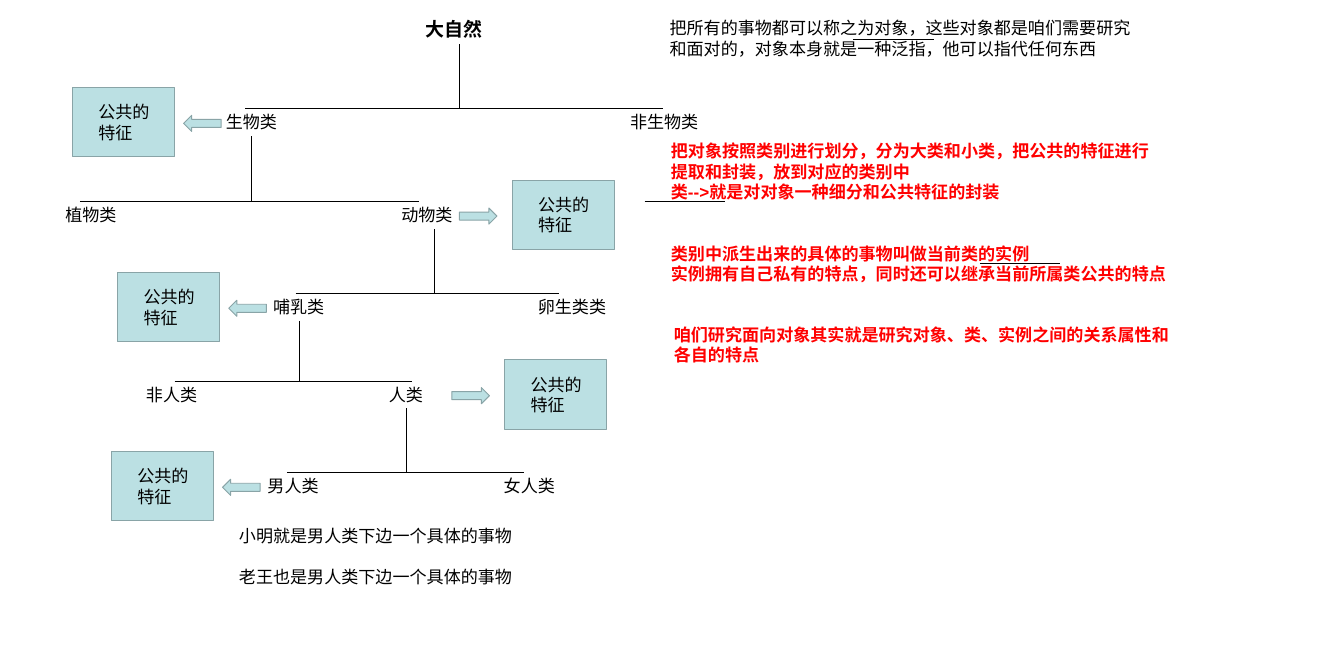
from lxml import etree
from pptx import Presentation
from pptx import util as u
from pptx.dml.color import RGBColor
from pptx.enum import shapes, text
from pptx.oxml.ns import qn

COLORS = {"ink": "000000", "red": "FF0000", "fill": "BBE0E3", "edge": "89A4A7"}
FONT = "Arial"

# Content, lengths in cm
TITLE = ("大自然", 15.57, 0.53, 3.2, 1.12)
FEATURE = "公共的\n特征"

# One branch per level: parent, stem shift from its centre, bar height,
# bar ends, child labels with their left edges, feature box left, arrow direction
BRANCHES = [
    ("大自然", -0.08, 4.04, (9.12, 24.66), (("生物类", 8.15), ("非生物类", 23.19)), 2.69, "left"),
    ("生物类", 0, 7.49, (2.97, 15.57), (("植物类", 2.18), ("动物类", 14.68)), 19.05, "right"),
    ("动物类", 0.25, 10.92, (11.0, 20.8), (("哺乳类", 9.91), ("卵生类类", 19.76)), 4.37, "left"),
    ("哺乳类", 0, 14.17, (6.5, 15.32), (("非人类", 5.18), ("人类", 14.22)), 18.77, "right"),
    ("人类", 0, 17.58, (10.67, 19.48), (("男人类", 9.7), ("女人类", 18.49)), 4.14, "left"),
]

# Text, left, top, width, height, colour, bold, space between paragraphs in pt
NOTES = [
    ("小明就是男人类下边一个具体的事物\n老王也是男人类下边一个具体的事物",
     8.64, 19.41, 12.27, 2.54, "ink", False, 21.6),
    ("把所有的事物都可以称之为对象，这些对象都是咱们需要研究\n"
     "和面对的，对象本身就是一种泛指，他可以指代任何东西",
     24.66, 0.53, 17.65, 1.78, "ink", False, 0),
    ("把对象按照类别进行划分，分为大类和小类，把公共的特征进行\n"
     "提取和封装，放到对应的类别中\n"
     "类-->就是对对象一种细分和公共特征的封装",
     24.71, 5.11, 18.29, 2.54, "red", True, 0),
    ("类别中派生出来的具体的事物叫做当前类的实例\n"
     "实例拥有自己私有的特点，同时还可以继承当前所属类公共的特点",
     24.71, 8.92, 18.92, 1.78, "red", True, 0),
    ("咱们研究面向对象其实就是研究对象、类、实例之间的关系属性和\n各自的特点",
     24.82, 11.94, 18.92, 1.78, "red", True, 0),
]
RULES = [(31.75, 1.45), (23.98, 7.49), (36.45, 9.8)]

STEM, RULE, LABEL_HEIGHT = 2.4, 3.0, 1.02
BOX_WIDTH, BOX_HEIGHT, BOX_RISE, BOX_INDENT = 3.81, 2.59, 0.79, 0.97
ARROW_WIDTH, ARROW_HEIGHT, ARROW_DROP = 1.4, 0.6, 0.25
ARROWS = {
    "left": (shapes.MSO_SHAPE.LEFT_ARROW, 4.14),
    "right": (shapes.MSO_SHAPE.RIGHT_ARROW, -1.96),
}


def color(name):
    return RGBColor.from_string(COLORS[name])


def write(box, words, size=18, ink="ink", bold=False, gap=0):
    frame = box.text_frame
    frame.text = words
    for index, para in enumerate(frame.paragraphs):
        para.alignment = text.PP_ALIGN.LEFT
        para.space_before = u.Pt(gap if index else 0)
        for span in para.runs:
            span.font.name, span.font.size = FONT, u.Pt(size)
            span.font.bold, span.font.color.rgb = bold, color(ink)
    return frame


def add_text(words, left, top, width, height, **style):
    box = page.shapes.add_textbox(u.Cm(left), u.Cm(top), u.Cm(width), u.Cm(height))
    frame = write(box, words, **style)
    frame.word_wrap = False
    frame.auto_size = text.MSO_AUTO_SIZE.SHAPE_TO_FIT_TEXT
    return box


def add_line(x1, y1, x2, y2):
    line = page.shapes.add_connector(
        shapes.MSO_CONNECTOR.STRAIGHT, u.Cm(x1), u.Cm(y1), u.Cm(x2), u.Cm(y2))
    line.line.color.rgb, line.line.width = color("ink"), u.Pt(0.5)
    etree.SubElement(line._element.spPr, qn("a:effectLst"))
    return line


def add_filled(kind, left, top, width, height):
    shape = page.shapes.add_shape(kind, u.Cm(left), u.Cm(top), u.Cm(width), u.Cm(height))
    shape.shadow.inherit = False
    shape.fill.solid()
    shape.fill.fore_color.rgb = color("fill")
    shape.line.color.rgb, shape.line.width = color("edge"), u.Pt(1)
    return shape


deck = Presentation()
deck.slide_width, deck.slide_height = u.Cm(50), u.Cm(25)
page = deck.slides.add_slide(deck.slide_layouts[5])

# Title, the root of the tree
words, left, top, width, height = TITLE
title = page.shapes.title
title.left, title.top, title.width, title.height = map(u.Cm, (left, top, width, height))
frame = write(title, words, size=20, bold=True)
frame.word_wrap = False
frame.auto_size = text.MSO_AUTO_SIZE.NONE
frame.vertical_anchor = text.MSO_ANCHOR.TOP
nodes = {words: (title, left + width / 2)}

# Tree branches with feature boxes
for parent, shift, bar, (start, end), children, box_left, direction in BRANCHES:
    parent_box, centre = nodes[parent]
    stem = add_line(centre + shift, bar - STEM, centre + shift, bar)
    if not shift:
        stem.begin_connect(parent_box, 2)
    add_line(start, bar, end, bar)
    for name, left in children:
        width = 0.51 + 0.635 * len(name)
        label = add_text(name, left, bar, width, LABEL_HEIGHT)
        nodes[name] = (label, left + width / 2)
    feature = add_filled(shapes.MSO_SHAPE.RECTANGLE, box_left, bar - BOX_RISE,
                         BOX_WIDTH, BOX_HEIGHT)
    frame = write(feature, FEATURE)
    frame.margin_left = u.Cm(BOX_INDENT)
    frame.vertical_anchor = text.MSO_ANCHOR.MIDDLE
    kind, offset = ARROWS[direction]
    add_filled(kind, box_left + offset, bar + ARROW_DROP, ARROW_WIDTH, ARROW_HEIGHT)

# Notes
for words, left, top, width, height, ink, bold, gap in NOTES:
    add_text(words, left, top, width, height, ink=ink, bold=bold, gap=gap)

# Short rules over the notes
for left, top in RULES:
    add_line(left, top, left + RULE, top)

deck.save("out.pptx")
